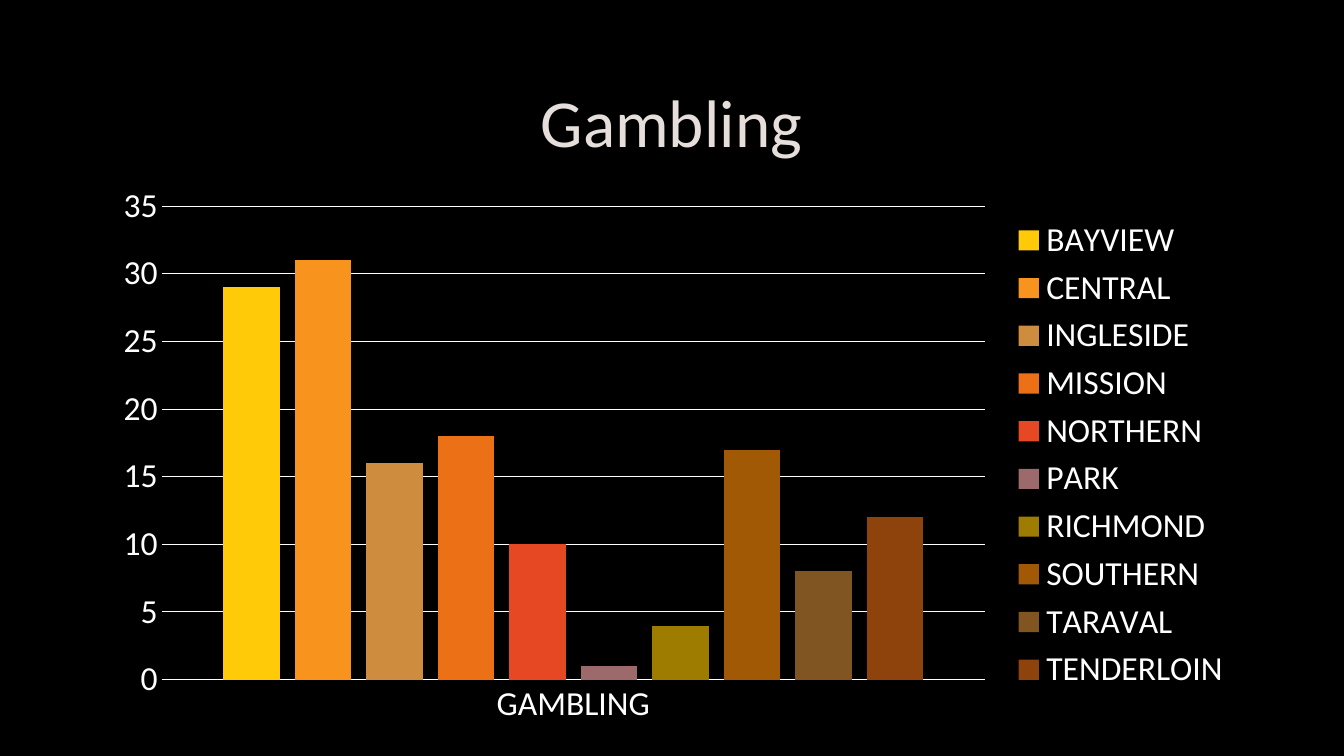
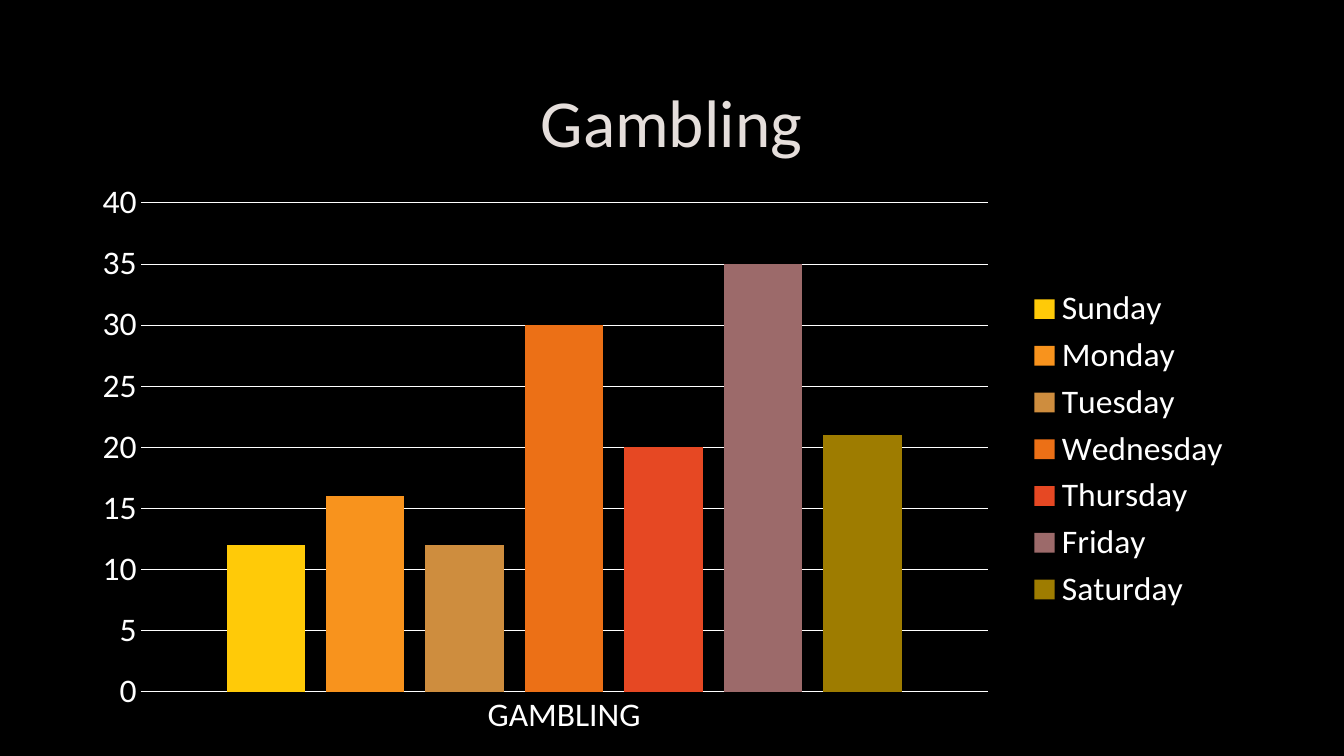
from dataclasses import dataclass

from lxml.etree import SubElement
from pptx import Presentation
from pptx.chart.data import CategoryChartData
from pptx.dml.color import RGBColor
from pptx.enum.chart import XL_CHART_TYPE, XL_LEGEND_POSITION, XL_TICK_MARK
from pptx.enum.text import MSO_ANCHOR, PP_ALIGN
from pptx.oxml.ns import qn
from pptx.util import Inches, Pt


@dataclass(frozen=True)
class Theme:
    font: str = "Calibri"
    background: str = "000000"
    title_color: str = "E5DEDB"
    chart_color: str = "FFFFFF"
    title_size: int = 48
    chart_size: int = 24
    line_width: float = 0.75
    series_colors: tuple = (
        "FFCA08", "F8931D", "CE8D3E", "EC7016", "E64823",
        "9C6A6A", "9E7C00", "A15905", "805521", "8F430C",
    )


class Deck:
    left = Inches(1)
    width = Inches(11.32)

    def __init__(self, theme):
        self.theme = theme
        self.presentation = Presentation()
        self.presentation.slide_width = Inches(13.33)
        self.presentation.slide_height = Inches(7.5)
        self.slide = None

    def add_slide(self):
        self.slide = self.presentation.slides.add_slide(self.presentation.slide_layouts[6])
        fill = self.slide.background.fill
        fill.solid()
        fill.fore_color.rgb = RGBColor.from_string(self.theme.background)

    def style_font(self, font, size, color):
        font.name = self.theme.font
        font.size = Pt(size)
        font.color.rgb = RGBColor.from_string(color)

    def style_line(self, line):
        line.color.rgb = RGBColor.from_string(self.theme.chart_color)
        line.width = Pt(self.theme.line_width)

    def add_title(self, text):
        title = self.slide.shapes.add_textbox(self.left, Inches(0.67), self.width, Inches(1.06))
        frame = title.text_frame
        frame.word_wrap = True
        frame.vertical_anchor = MSO_ANCHOR.MIDDLE
        paragraph = frame.paragraphs[0]
        paragraph.text = text
        paragraph.alignment = PP_ALIGN.CENTER
        self.style_font(paragraph.font, self.theme.title_size, self.theme.title_color)

    def add_column_chart(self, category, values, plot_area=None):
        data = CategoryChartData()
        data.categories = [category]
        for name, value in values.items():
            data.add_series(name, [value])
        chart = self.slide.shapes.add_chart(
            XL_CHART_TYPE.COLUMN_CLUSTERED,
            self.left, Inches(1.73), self.width, Inches(5.57), data,
        ).chart
        chart.has_title = False
        self.style_font(chart.font, self.theme.chart_size, self.theme.chart_color)

        plot = chart.plots[0]
        plot.gap_width = 219
        plot.overlap = -27
        plot.vary_by_categories = False
        for series, color in zip(plot.series, self.theme.series_colors):
            series.format.fill.solid()
            series.format.fill.fore_color.rgb = RGBColor.from_string(color)

        for axis in (chart.category_axis, chart.value_axis):
            axis.major_tick_mark = XL_TICK_MARK.NONE
            axis.minor_tick_mark = XL_TICK_MARK.NONE
        self.style_line(chart.category_axis.format.line)
        chart.value_axis.format.line.fill.background()
        chart.value_axis.has_major_gridlines = True
        self.style_line(chart.value_axis.major_gridlines.format.line)

        chart.has_legend = True
        chart.legend.position = XL_LEGEND_POSITION.RIGHT
        chart.legend.include_in_layout = False
        if plot_area:
            self.place_plot(chart, plot_area)

    def place_plot(self, chart, plot_area):
        area = chart.element.find(".//" + qn("c:plotArea"))
        layout = area.find(qn("c:layout"))
        if layout is None:
            layout = area.makeelement(qn("c:layout"))
            area.insert(0, layout)
        manual = SubElement(layout, qn("c:manualLayout"))
        settings = [("layoutTarget", "inner"), ("xMode", "edge"), ("yMode", "edge")]
        settings += zip("xywh", plot_area)
        for name, value in settings:
            SubElement(manual, qn(f"c:{name}")).set("val", str(value))


DISTRICTS = {
    "BAYVIEW": 29, "CENTRAL": 31, "INGLESIDE": 16, "MISSION": 18, "NORTHERN": 10,
    "PARK": 1, "RICHMOND": 4, "SOUTHERN": 17, "TARAVAL": 8, "TENDERLOIN": 12,
}
WEEKDAYS = {
    "Sunday": 12, "Monday": 16, "Tuesday": 12, "Wednesday": 30,
    "Thursday": 20, "Friday": 35, "Saturday": 21,
}
WEEKDAY_PLOT = (0.035, 0.052, 0.742, 0.889)


def main():
    deck = Deck(Theme())
    for values, plot_area in ((DISTRICTS, None), (WEEKDAYS, WEEKDAY_PLOT)):
        deck.add_slide()
        deck.add_title("Gambling")
        deck.add_column_chart("GAMBLING", values, plot_area)
    deck.presentation.save("out.pptx")


if __name__ == "__main__":
    main()
